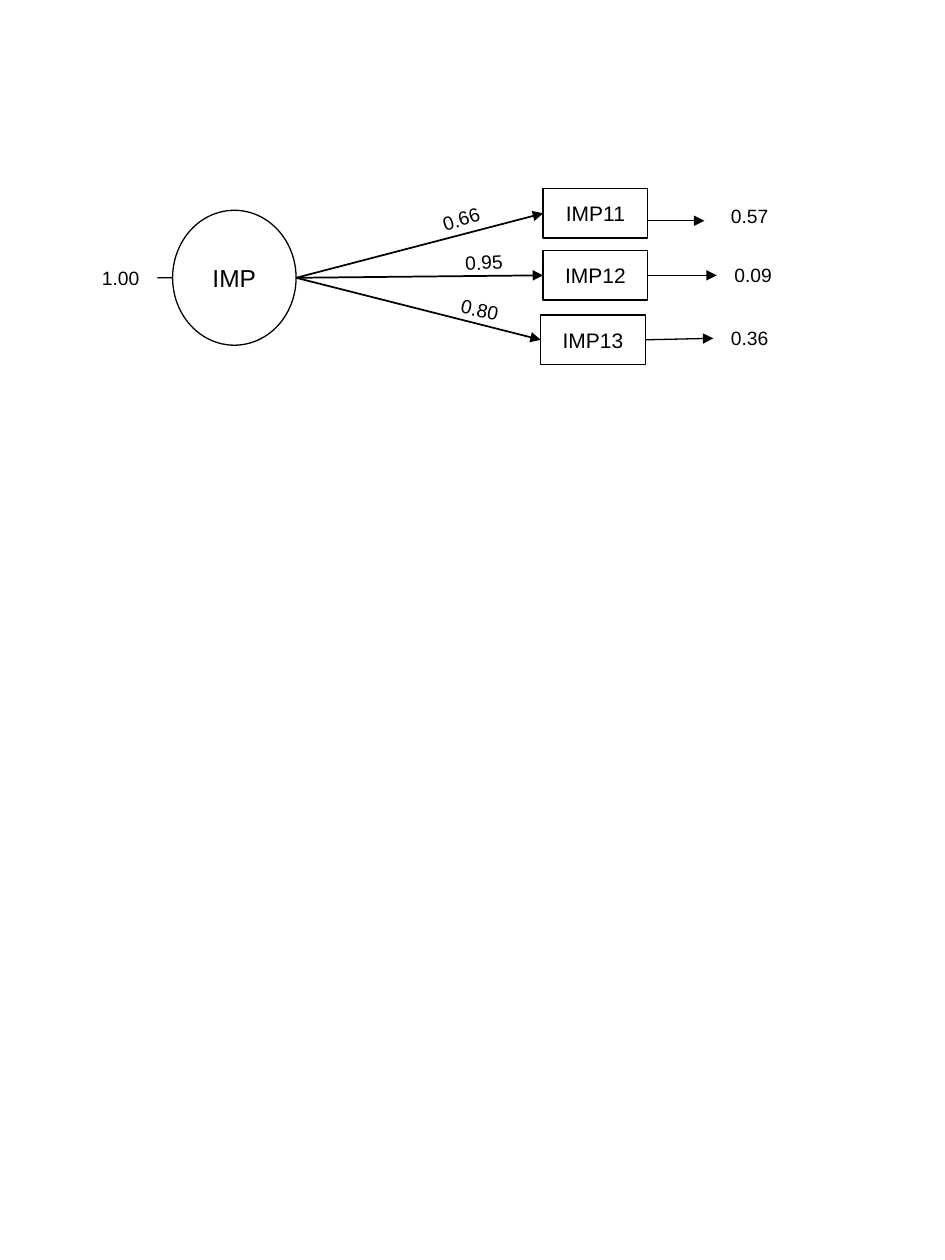
from dataclasses import dataclass

from lxml.etree import SubElement
from pptx import Presentation
from pptx.dml.color import RGBColor
from pptx.enum.shapes import MSO_CONNECTOR as Link, MSO_SHAPE as Shape
from pptx.enum.text import MSO_ANCHOR as Anchor, PP_ALIGN as Align
from pptx.oxml.ns import qn
from pptx.util import Cm, Pt

LEFT, RIGHT = 1, 3


@dataclass(frozen=True)
class Theme:
    font: str = "Arial"
    ink: RGBColor = RGBColor(0, 0, 0)
    paper: RGBColor = RGBColor(255, 255, 255)
    factor_size: float = 14
    item_size: float = 12
    value_size: float = 11
    thin: float = 0.75
    thick: float = 1


class Diagram:
    item_size = (2.11, 1)
    value_size = (1.47, 1)

    def __init__(self, slide, theme):
        self.slide = slide
        self.theme = theme

    def caption(self, box, text, size, inset=None):
        frame = box.text_frame
        settings = {"word_wrap": True, "vertical_anchor": Anchor.MIDDLE}
        if inset is not None:
            for edge in ("left", "top", "right", "bottom"):
                settings[f"margin_{edge}"] = Cm(inset)
        for name, value in settings.items():
            setattr(frame, name, value)
        para = frame.paragraphs[0]
        para.alignment = Align.CENTER
        span = para.add_run()
        span.text = text
        for name, value in {"name": self.theme.font, "size": Pt(size)}.items():
            setattr(span.font, name, value)
        span.font.color.rgb = self.theme.ink

    def shape(self, kind, place, size, outlined=True):
        box = self.slide.shapes.add_shape(kind, *map(Cm, (*place, *size)))
        box.shadow.inherit = False
        box.fill.solid()
        box.fill.fore_color.rgb = self.theme.paper
        if outlined:
            box.line.color.rgb = self.theme.ink
            box.line.width = Pt(self.theme.thin)
        else:
            box.line.fill.background()
        return box

    def factor(self, text, place, size):
        circle = self.shape(Shape.OVAL, place, size)
        self.caption(circle, text, self.theme.factor_size, inset=0)
        return circle

    def item(self, text, place):
        box = self.shape(Shape.RECTANGLE, place, self.item_size)
        self.caption(box, text, self.theme.item_size)
        return box

    def error(self, text, place):
        box = self.shape(Shape.RECTANGLE, place, self.value_size, outlined=False)
        self.caption(box, text, self.theme.value_size)
        return box

    def label(self, text, place, turn=0):
        box = self.slide.shapes.add_textbox(*map(Cm, (*place, *self.value_size)))
        box.rotation = turn
        self.caption(box, text, self.theme.value_size)
        return box

    def line(self, start, end, width, arrow=True):
        link = self.slide.shapes.add_connector(Link.STRAIGHT, *start, *end)
        link.line.color.rgb = self.theme.ink
        link.line.width = Pt(width)
        properties = link.element.spPr
        if arrow:
            SubElement(properties.find(qn("a:ln")), qn("a:tailEnd"), type="triangle")
        SubElement(properties, qn("a:effectLst"))
        return link


def side(box, site):
    x = box.left + (box.width if site == RIGHT else 0)
    return x, box.top + box.height // 2


def main():
    deck = Presentation()
    deck.slide_width, deck.slide_height = Cm(19.05), Cm(25.4)
    page = deck.slides.add_slide(deck.slide_layouts[6])
    theme = Theme()
    diagram = Diagram(page, theme)

    factor = diagram.factor("IMP", (3.48, 4.24), (2.49, 2.72))
    variance = diagram.label("1.00", (1.7, 5.1))
    stub = diagram.line(side(factor, LEFT), side(variance, RIGHT), theme.thin, arrow=False)
    stub.end_connect(variance, RIGHT)

    indicators = [
        ("IMP11", (10.95, 3.8), "0.57", (14.38, 3.86), "0.66", (8.56, 3.91), 342.7),
        ("IMP12", (10.95, 5.05), "0.09", (14.45, 5.05), "0.95", (9.02, 4.78), 356.5),
        ("IMP13", (10.9, 6.35), "0.36", (14.38, 6.32), "0.80", (8.94, 5.74), 12.7),
    ]
    rows = []
    for name, place, error, error_place, loading, loading_place, turn in indicators:
        item = diagram.item(name, place)
        rows.append((item, diagram.error(error, error_place)))
        arrow = diagram.line(side(factor, RIGHT), side(item, LEFT), theme.thick)
        arrow.end_connect(item, LEFT)
        diagram.label(loading, loading_place, turn)

    diagram.line((Cm(13.06), Cm(4.45)), (Cm(14.2), Cm(4.45)), theme.thin)
    for item, error in rows[1:]:
        arrow = diagram.line(side(item, RIGHT), side(error, LEFT), theme.thin)
        arrow.begin_connect(item, RIGHT)
        arrow.end_connect(error, LEFT)

    deck.save("out.pptx")


if __name__ == "__main__":
    main()
